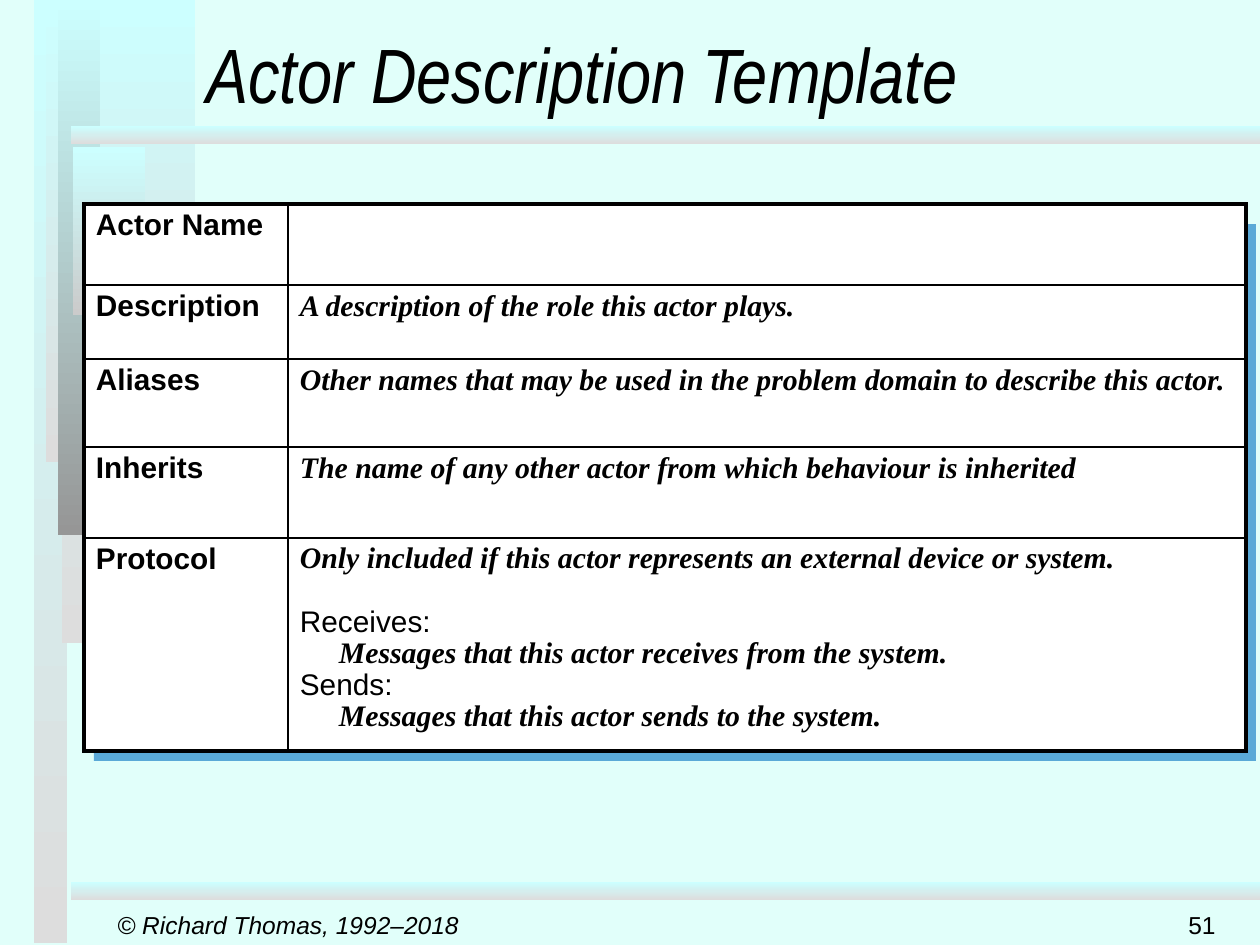
from dataclasses import dataclass
from typing import Any

from lxml import etree
from pptx import Presentation
from pptx import util as u
from pptx.dml.color import RGBColor
from pptx.enum import shapes, text
from pptx.oxml import ns

EMU_PER_INCH, PX_PER_INCH = 914400, 126
THICK, THIN = 2.25, 1
BLACK, WHITE = "000000", "FFFFFF"

LABEL = {"name": "Arial", "size": u.Pt(17), "bold": True}
HEADING = {"name": "Arial", "size": u.Pt(17)}
HINT = {"name": "Times New Roman", "size": u.Pt(17), "bold": True, "italic": True}
TITLE = {"name": "Arial Narrow", "size": u.Pt(44), "italic": True}
FOOTER = {"name": "Arial", "size": u.Pt(14)}


@dataclass
class Box:
    left: int
    top: int
    width: int
    height: int


@dataclass
class Bar:
    box: Box
    end: str = "DDDDDD"


@dataclass
class Line:
    text: str
    font: dict[str, Any]
    indent: int = 0
    before: int = 0


@dataclass
class Row:
    height: int
    label: str
    lines: list[Line]


BARS = [
    Bar(Box(34, 0, 33, 943)),
    Bar(Box(62, 0, 52, 643)),
    Bar(Box(46, 0, 149, 462)),
    Bar(Box(58, 0, 42, 535), "969696"),
    Bar(Box(73, 147, 72, 168), "CBCBCB"),
    Bar(Box(71, 126, 1189, 18)),
    Bar(Box(71, 882, 1189, 18)),
]

COLUMNS = [204, 958]
ROWS = [
    Row(81, "Actor Name", []),
    Row(74, "Description", [Line("A description of the role this actor plays.", HINT)]),
    Row(88, "Aliases", [Line("Other names that may be used in the problem domain "
                             "to describe this actor.", HINT)]),
    Row(91, "Inherits", [Line("The name of any other actor from which behaviour "
                              "is inherited", HINT)]),
    Row(210, "Protocol", [
        Line("Only included if this actor represents an external device or system.", HINT),
        Line("Receives:", HEADING, before=18),
        Line("Messages that this actor receives from the system.", HINT, indent=39),
        Line("Sends:", HEADING),
        Line("Messages that this actor sends to the system.", HINT, indent=39),
    ]),
]


def px(n: int) -> u.Emu:
    return u.Emu(round(n * EMU_PER_INCH / PX_PER_INCH))


def rgb(value: str) -> RGBColor:
    return RGBColor.from_string(value)


def place(box: Box) -> list[u.Emu]:
    return [px(n) for n in (box.left, box.top, box.width, box.height)]


def add_run(p, words: str, font: dict[str, Any]) -> None:
    r = p.add_run()
    r.text = words
    for key, value in font.items():
        setattr(r.font, key, value)
    r.font.color.rgb = rgb(BLACK)


def add_rect(s, box: Box):
    sp = s.shapes.add_shape(shapes.MSO_SHAPE.RECTANGLE, *place(box))
    sp.shadow.inherit = False
    sp.line.fill.background()
    return sp


def add_bar(s, bar: Bar) -> None:
    fill = add_rect(s, bar.box).fill
    fill.gradient()
    fill.gradient_angle = 270
    for stop, position, color in zip(fill.gradient_stops, (0, 1), ("CCFFFF", bar.end)):
        stop.position = position
        stop.color.rgb = rgb(color)


def add_table_shade(s, box: Box) -> None:
    """Draw the translucent blue panel behind the table."""
    sp = add_rect(s, box)
    sp.fill.solid()
    sp.fill.fore_color.rgb = rgb("0070C0")
    color = sp.fill._xPr.find(".//" + ns.qn("a:srgbClr"))
    etree.SubElement(color, ns.qn("a:alpha"), val="60000")


def add_text(s, box: Box, words: str, font: dict[str, Any],
             align=text.PP_ALIGN.LEFT, anchor=text.MSO_ANCHOR.TOP) -> None:
    tf = s.shapes.add_textbox(*place(box)).text_frame
    tf.word_wrap = True
    tf.vertical_anchor = anchor
    p = tf.paragraphs[0]
    p.alignment = align
    add_run(p, words, font)


def set_borders(cell, widths: dict[str, float]) -> None:
    tc_pr = cell._tc.get_or_add_tcPr()
    for side, width in widths.items():
        ln = etree.SubElement(tc_pr, ns.qn(f"a:ln{side}"), w=str(u.Pt(width)))
        fill = etree.SubElement(ln, ns.qn("a:solidFill"))
        etree.SubElement(fill, ns.qn("a:srgbClr"), val=BLACK)


def fill_cell(cell, lines: list[Line]) -> None:
    cell.fill.solid()
    cell.fill.fore_color.rgb = rgb(WHITE)
    cell.margin_left = cell.margin_right = px(12)
    cell.margin_top = cell.margin_bottom = px(6)
    tf = cell.text_frame
    for i, line in enumerate(lines):
        p = tf.add_paragraph() if i else tf.paragraphs[0]
        p.line_spacing = 0.95
        if line.before:
            p.space_before = u.Pt(line.before)
        if line.indent:
            p._p.get_or_add_pPr().set("marL", str(px(line.indent)))
        add_run(p, line.text, line.font)


def add_actor_table(s, left: int, top: int) -> None:
    box = Box(left, top, sum(COLUMNS), sum(row.height for row in ROWS))
    table = s.shapes.add_table(len(ROWS), len(COLUMNS), *place(box)).table
    table.first_row = table.horz_banding = False
    for column, width in zip(table.columns, COLUMNS):
        column.width = px(width)
    for i, row in enumerate(ROWS):
        table.rows[i].height = px(row.height)
        for j, lines in enumerate(([Line(row.label, LABEL)], row.lines)):
            cell = table.cell(i, j)
            set_borders(cell, {
                "L": THICK if j == 0 else THIN,
                "R": THICK if j == len(COLUMNS) - 1 else THIN,
                "T": THICK if i == 0 else THIN,
                "B": THICK if i == len(ROWS) - 1 else THIN,
            })
            fill_cell(cell, lines)


def main() -> None:
    prs = Presentation()
    prs.slide_width, prs.slide_height = px(1260), px(945)
    s = prs.slides.add_slide(prs.slide_layouts[6])
    s.background.fill.solid()
    s.background.fill.fore_color.rgb = rgb("E1FFFA")
    for bar in BARS:
        add_bar(s, bar)
    add_table_shade(s, Box(94, 224, 1162, 537))
    add_text(s, Box(194, 0, 1023, 125), "Actor Description Template", TITLE,
             anchor=text.MSO_ANCHOR.BOTTOM)
    add_actor_table(s, 84, 204)
    add_text(s, Box(105, 904, 377, 41), "© Richard Thomas, 1992–2018",
             FOOTER | {"italic": True})
    add_text(s, Box(966, 904, 262, 41), "51", FOOTER, align=text.PP_ALIGN.RIGHT)
    prs.save("out.pptx")


if __name__ == "__main__":
    main()
